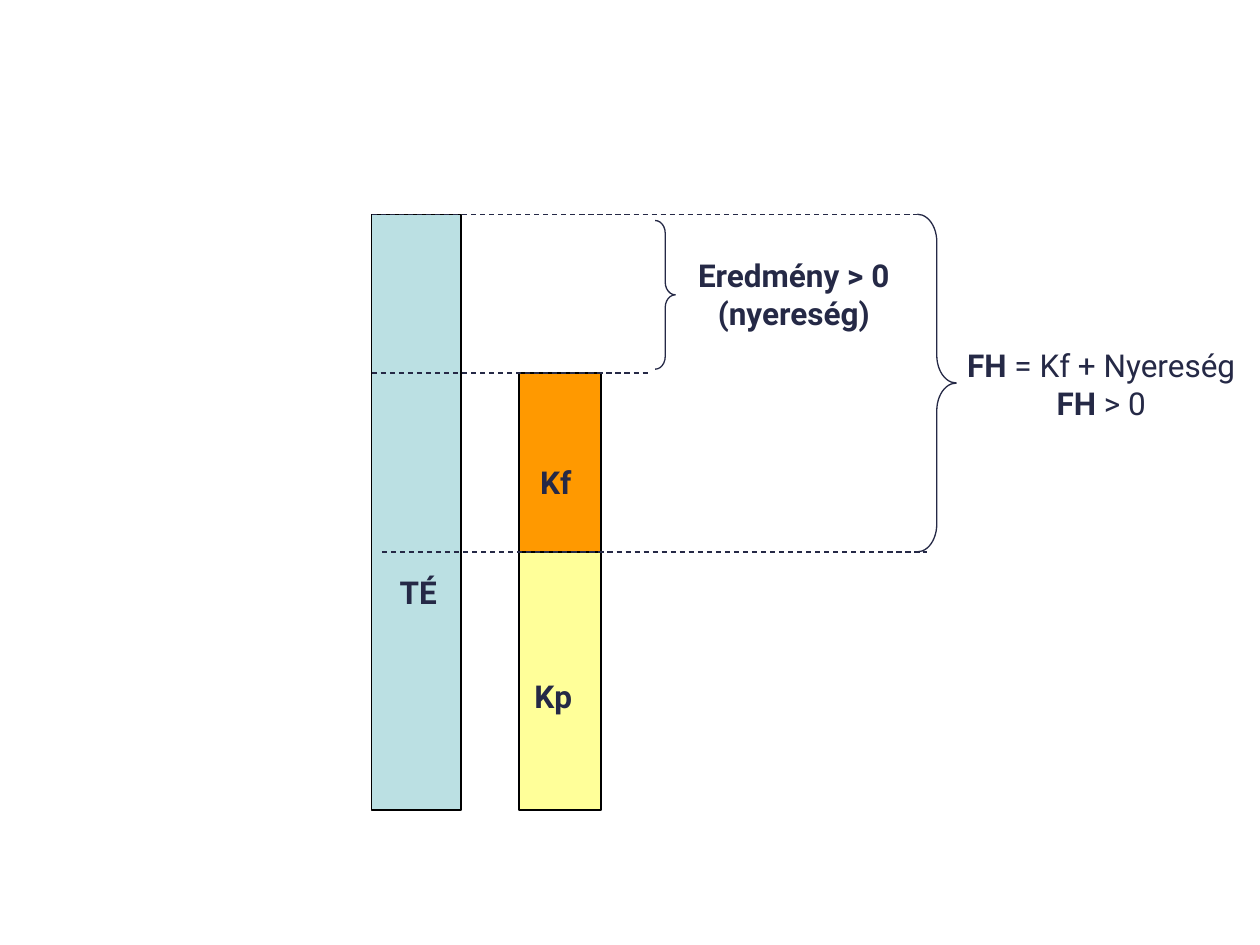
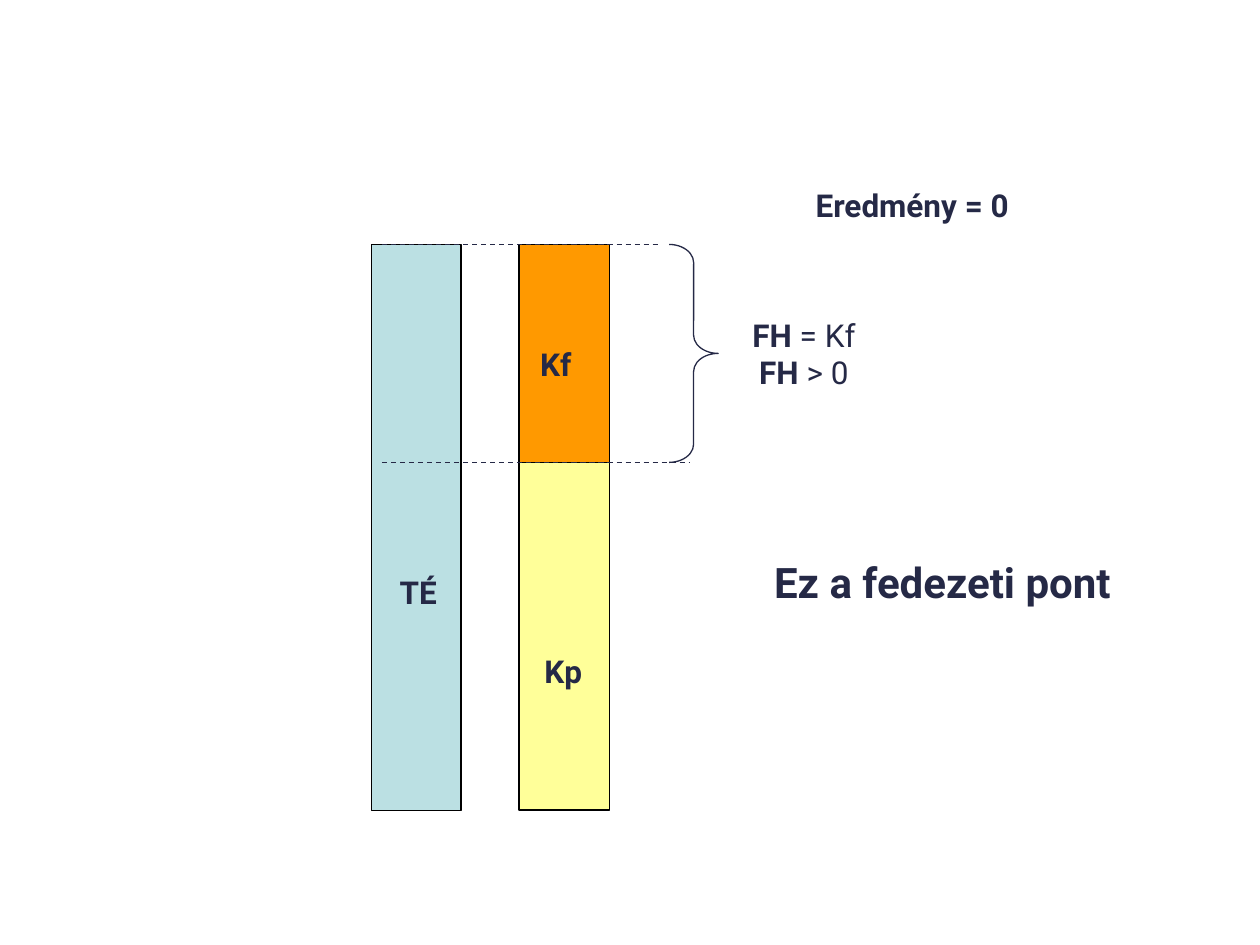
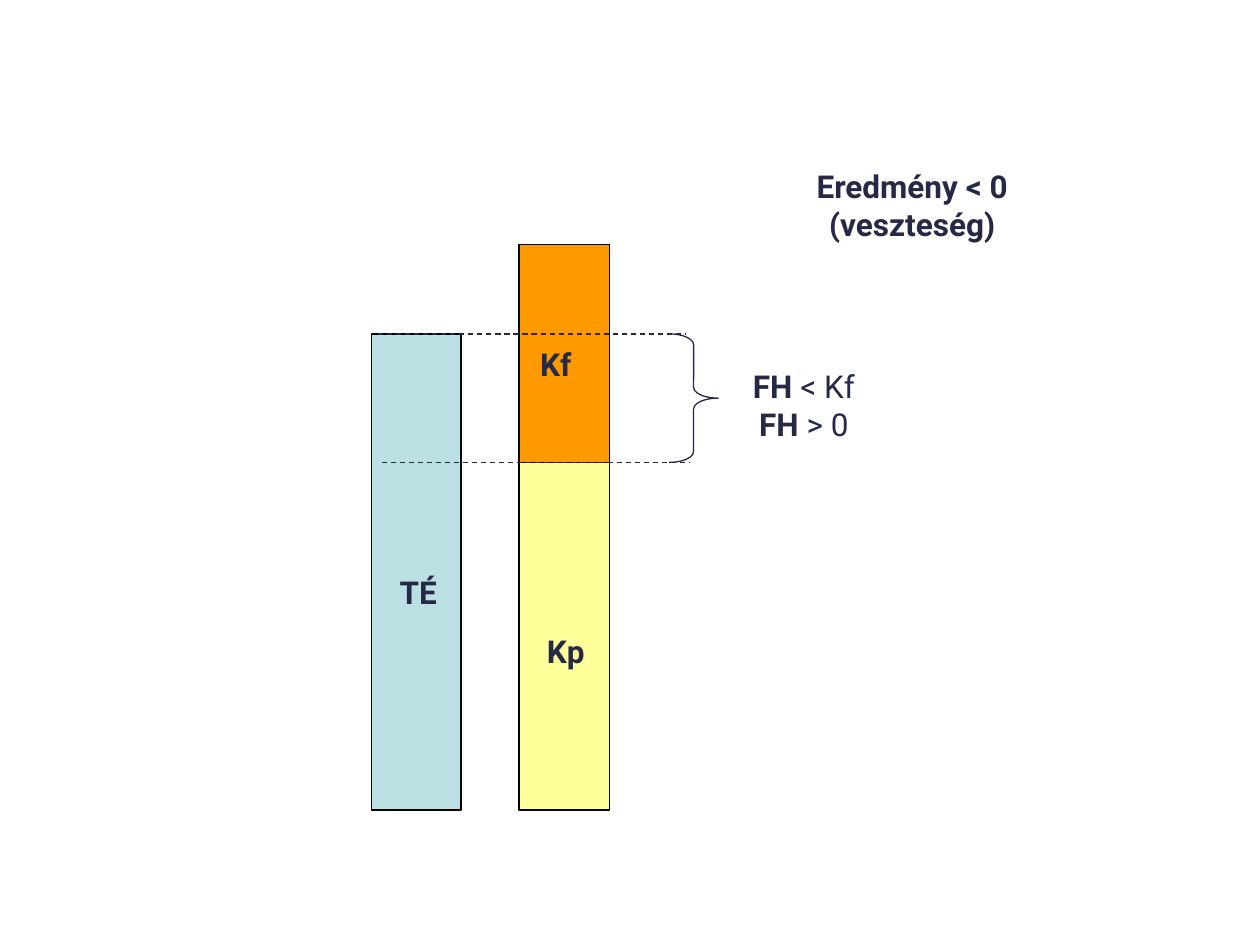
from lxml.etree import SubElement
from pptx import Presentation
from pptx.dml.color import RGBColor
from pptx.enum.dml import MSO_LINE
from pptx.enum.shapes import MSO_CONNECTOR, MSO_SHAPE
from pptx.enum.text import MSO_ANCHOR, PP_ALIGN
from pptx.oxml.ns import qn
from pptx.util import Inches, Pt

SLIDE_COLUMNS, SLIDE_ROWS = 10, 7.5
GRID_UNIT = Inches(1)
FONT = "Roboto"
INK, OUTLINE = "252946", "000000"
REVENUE, FIXED, VARIABLE = "BBE0E3", "FF9900", "FFFF99"
BASELINE = 6.43
REVENUE_LEFT, REVENUE_WIDTH = 2.95, 0.71
COST_LEFT = 4.12
LABEL_WIDTH, WIDE_LABEL, WIDEST_LABEL = 1.18, 2.4, 3
LABEL_HEIGHT = 0.63


def grid(*counts):
    return [round(count * GRID_UNIT) for count in counts]


def color(value):
    return RGBColor.from_string(value)


def set_line(shape, value):
    shape.line.color.rgb = color(value)
    shape.line.width = Pt(0.75)


def add_bar(slide, left, top, width, bottom, fill):
    bar = slide.shapes.add_shape(
        MSO_SHAPE.RECTANGLE, *grid(left, top, width, bottom - top))
    bar.shadow.inherit = False
    bar.fill.solid()
    bar.fill.fore_color.rgb = color(fill)
    set_line(bar, OUTLINE)


def add_brace(slide, left, top, width, bottom, curve):
    brace = slide.shapes.add_shape(
        MSO_SHAPE.RIGHT_BRACE, *grid(left, top, width, bottom - top))
    brace.shadow.inherit = False
    brace.fill.background()
    set_line(brace, INK)
    brace.adjustments[0] = curve
    brace.adjustments[1] = 0.5


def add_level(slide, left, right, row):
    level = slide.shapes.add_connector(
        MSO_CONNECTOR.STRAIGHT, *grid(left, row, right, row))
    set_line(level, INK)
    level.line.dash_style = MSO_LINE.DASH
    SubElement(level._element.spPr, qn("a:effectLst"))


def add_label(slide, center, top, *lines, size=18, width=LABEL_WIDTH):
    box = slide.shapes.add_textbox(
        *grid(center - width / 2, top, width, LABEL_HEIGHT))
    frame = box.text_frame
    frame.word_wrap = False
    frame.vertical_anchor = MSO_ANCHOR.MIDDLE
    for index, (strong, plain) in enumerate(lines):
        paragraph = frame.add_paragraph() if index else frame.paragraphs[0]
        paragraph.alignment = PP_ALIGN.CENTER
        for text, bold in ((strong, True), (plain, False)):
            if text:
                run = paragraph.add_run()
                run.text = text
                run.font.name = FONT
                run.font.size = Pt(size)
                run.font.bold = bold
                run.font.color.rgb = color(INK)


def add_bars(slide, revenue_top, fixed_top, variable_top, cost_width):
    add_bar(slide, REVENUE_LEFT, revenue_top, REVENUE_WIDTH, BASELINE, REVENUE)
    add_bar(slide, COST_LEFT, variable_top, cost_width, BASELINE, VARIABLE)
    add_bar(slide, COST_LEFT, fixed_top, cost_width, variable_top, FIXED)


def add_bar_labels(slide, fixed_row, variable_center, variable_row):
    add_label(slide, 4.41, fixed_row, ("Kf", ""))
    add_label(slide, 3.32, 4.38, ("TÉ", ""))
    add_label(slide, variable_center, variable_row, ("Kp", ""))


def add_margin(slide, center, row, relation, width=LABEL_WIDTH):
    add_label(slide, center, row, ("FH ", relation), ("FH", " > 0"), width=width)


def add_result(slide, center, row, *texts):
    add_label(slide, center, row, *[(text, "") for text in texts],
              width=WIDE_LABEL)


def build_profit(slide):
    top, fixed_top, variable_top = 1.7, 2.96, 4.38
    add_bars(slide, top, fixed_top, variable_top, 0.65)
    add_brace(slide, 5.2, 1.75, 0.16, 2.93, 0.63)
    add_level(slide, REVENUE_LEFT, 5.16, fixed_top)
    add_level(slide, REVENUE_LEFT, 7.28, top)
    add_result(slide, 6.3, 2.02, "Eredmény > 0", "(nyereség)")
    add_bar_labels(slide, 3.51, 4.39, 5.21)
    add_level(slide, 3.03, 7.36, variable_top)
    add_brace(slide, 7.28, top, 0.31, variable_top, 0.71)
    add_margin(slide, 8.74, 2.73, "= Kf + Nyereség", WIDE_LABEL)


def build_without_profit(slide, revenue_top, level_span, curve, variable_label,
                         margin_row, relation, *result):
    fixed_top, variable_top = 1.94, 3.67
    add_bars(slide, revenue_top, fixed_top, variable_top, 0.72)
    add_level(slide, *level_span, revenue_top)
    add_bar_labels(slide, 2.57, *variable_label)
    add_level(slide, 3.03, 5.47, variable_top)
    add_brace(slide, 5.31, revenue_top, 0.39, variable_top, curve)
    add_margin(slide, 6.38, margin_row, relation)
    add_result(slide, 7.24, 1.31, *result)


def main():
    presentation = Presentation()
    presentation.slide_width, presentation.slide_height = grid(
        SLIDE_COLUMNS, SLIDE_ROWS)
    blank = presentation.slide_layouts[6]
    profit, break_even, loss = [
        presentation.slides.add_slide(blank) for _ in range(3)]

    build_profit(profit)
    build_without_profit(break_even, 1.94, (3.03, 5.24), 0.37, (4.47, 5.01),
                         2.49, "= Kf", "Eredmény = 0")
    add_label(break_even, 7.48, 4.3, ("Ez a fedezeti pont", ""),
              size=24, width=WIDEST_LABEL)
    build_without_profit(loss, 2.65, (3, 5.44), 0.22, (4.49, 4.85),
                         2.9, "< Kf", "Eredmény < 0", "(veszteség)")
    presentation.save("out.pptx")


if __name__ == "__main__":
    main()
